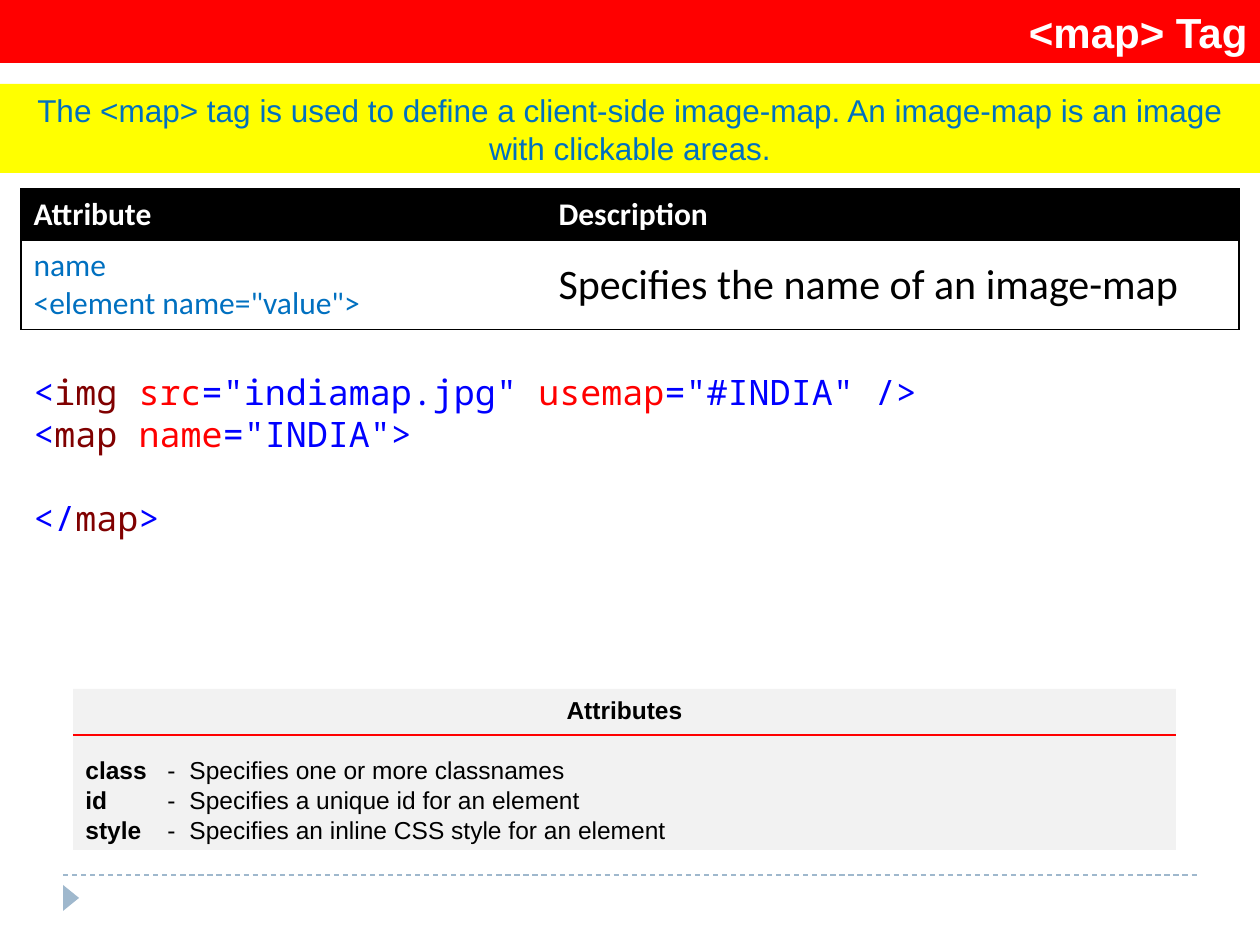
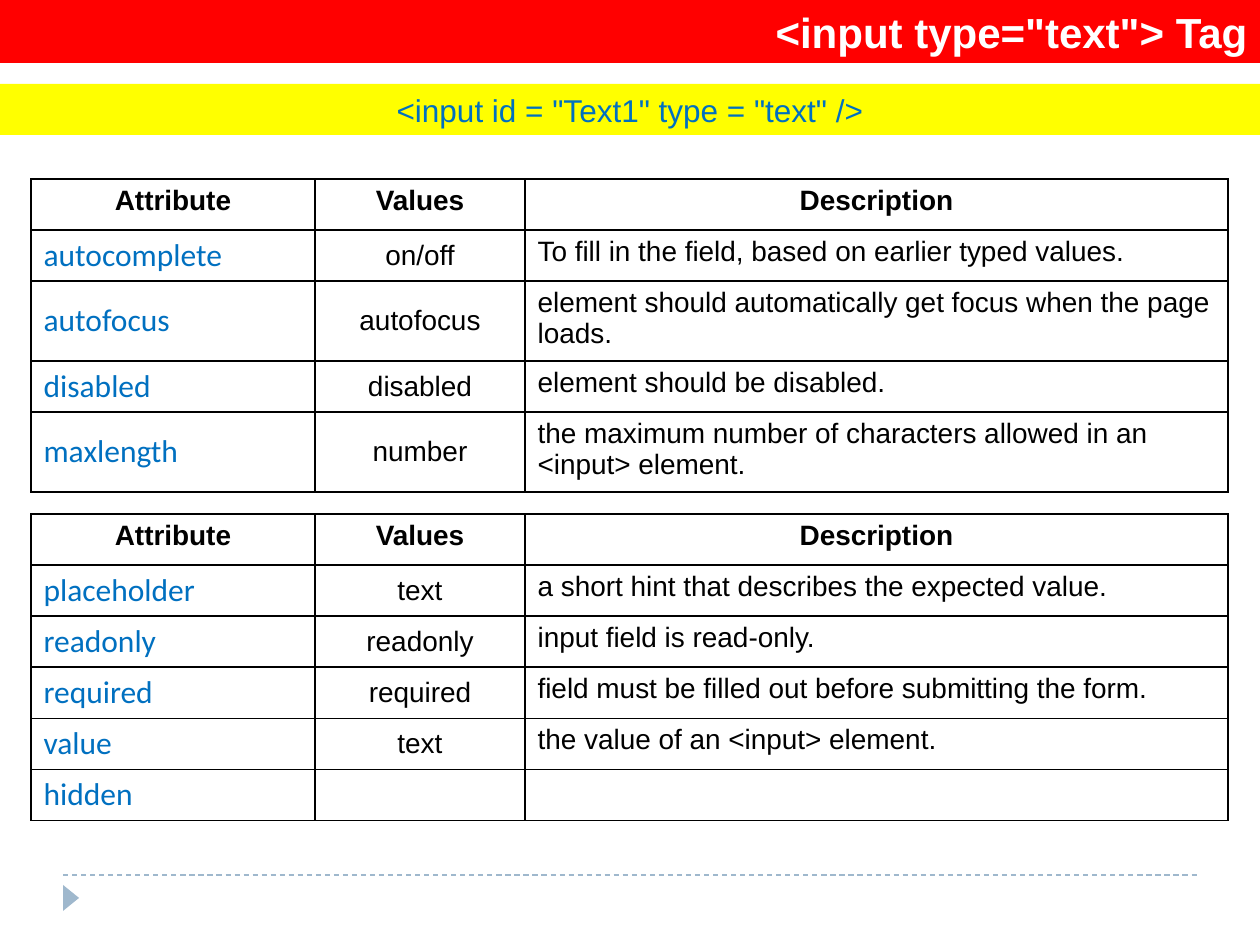
from pptx import Presentation
from pptx import util as u
from pptx.dml.color import RGBColor
from pptx.enum import dml, shapes, text
from pptx.oxml import xmlchemy as x
from lxml import etree

PX = 914400 / 126
A = "{http://schemas.openxmlformats.org/drawingml/2006/main}"
COLORS = {
    "red": "FF0000", "yellow": "FFFF00", "blue": "0070C0", "white": "FFFFFF",
    "black": "000000", "panel": "F2F2F2", "footer": "9FB8CD",
    "code": "0000FF", "tag": "800000",
}
LEFT, CENTER, RIGHT = text.PP_ALIGN.LEFT, text.PP_ALIGN.CENTER, text.PP_ALIGN.RIGHT
TOP, MIDDLE = text.MSO_ANCHOR.TOP, text.MSO_ANCHOR.MIDDLE
LABEL = ("Calibri", 18, "blue", False, LEFT, MIDDLE)
VALUE = ("Arial", 16, "black", False, CENTER, MIDDLE)
NOTE = ("Arial", 16, "black", False, LEFT, TOP)
HEADING = ("Arial", 16, "black", True, CENTER, TOP)


def px(n):
    return u.Emu(round(n * PX))


def rgb(name):
    return RGBColor.from_string(COLORS[name])


def style(p, font, size, color, bold=False, align=LEFT):
    p.alignment = align
    p.font.name, p.font.size, p.font.bold = font, u.Pt(size), bold
    p.font.color.rgb = rgb(color)


def add_box(parent, box, fill, kind=shapes.MSO_SHAPE.RECTANGLE):
    sp = parent.add_shape(kind, *map(px, box))
    sp.shadow.inherit = False
    sp.fill.solid()
    sp.fill.fore_color.rgb = rgb(fill)
    sp.line.fill.background()
    sp.text_frame.word_wrap = True
    return sp


def add_line(parent, x1, y1, x2, y2, color, width):
    line = parent.add_connector(shapes.MSO_CONNECTOR.STRAIGHT, *map(px, (x1, y1, x2, y2)))
    line.line.color.rgb = rgb(color)
    line.line.width = u.Pt(width)
    etree.SubElement(line._element.spPr, A + "effectLst")
    return line


def add_band(s, box, words, fill, *look, spacing=None):
    tf = add_box(s.shapes, box, fill).text_frame
    tf.vertical_anchor = MIDDLE
    p = tf.paragraphs[0]
    p.text = words
    style(p, *look)
    p.line_spacing = spacing


def add_footer(s, left, top, width):
    line = add_line(s.shapes, left, top, left + width, top, "footer", 0.75)
    line.line.dash_style = dml.MSO_LINE.DASH
    marker = add_box(s.shapes, (left - 5, top + 15, 26, 16), "footer",
                     shapes.MSO_SHAPE.ISOSCELES_TRIANGLE)
    marker.rotation = 90


def add_tag_slide(prs, title, summary, summary_height):
    s = prs.slides.add_slide(prs.slide_layouts[6])
    add_footer(s, 63, 875, 1134)
    add_band(s, (0, 0, 1260, 63), title, "red", "Arial", 24, "white", True, RIGHT)
    add_band(s, (0, 84, 1260, summary_height), summary, "yellow",
             "Arial", 18, "blue", False, CENTER, spacing=u.Pt(22))
    return s


def set_borders(cell, sides, width):
    tc_pr = cell._tc.get_or_add_tcPr()
    for side in "LRTB":
        ln = etree.SubElement(tc_pr, A + "ln" + side, w=str(u.Pt(width)))
        if side in sides:
            fill = etree.SubElement(ln, A + "solidFill")
            etree.SubElement(fill, A + "srgbClr", val=COLORS["black"])
        else:
            etree.SubElement(ln, A + "noFill")


def fill_cell(cell, words, font, size, color, bold, align, anchor, fill="white"):
    cell.fill.solid()
    cell.fill.fore_color.rgb = rgb(fill)
    cell.vertical_anchor = anchor
    cell.text = words
    for p in cell.text_frame.paragraphs:
        style(p, font, size, color, bold, align)


def add_grid(s, left, top, widths, heights):
    table = s.shapes.add_table(len(heights), len(widths), px(left), px(top),
                               px(sum(widths)), px(sum(heights))).table
    table.horz_banding = False
    for column, width in zip(table.columns, widths):
        column.width = px(width)
    for row, height in zip(table.rows, heights):
        row.height = px(height)
    return table


def add_name_table(s, left, top):
    table = add_grid(s, left, top, (525, 693), (51, 89))
    header = ("Calibri", 18, "white", True, LEFT, TOP, "black")
    rows = [
        [("Attribute", *header), ("Description", *header)],
        [('name\n<element name="value">', *LABEL),
         ("Specifies the name of an image-map", "Calibri", 24, "black", False, LEFT, MIDDLE)],
    ]
    for r, row in enumerate(rows):
        for c, content in enumerate(row):
            set_borders(table.cell(r, c), "TB" + "LR"[c], 0.75)
            fill_cell(table.cell(r, c), *content)


def add_attribute_table(s, left, top, rows, tall=()):
    rows = [("Attribute", "Values", "Description"), *rows]
    heights = [80 if r in tall else 51 for r in range(len(rows))]
    table = add_grid(s, left, top, (284, 210, 703), heights)
    for r, row in enumerate(rows):
        looks = (LABEL, VALUE, NOTE) if r else (HEADING,) * 3
        for c, (words, look) in enumerate(zip(row, looks)):
            set_borders(table.cell(r, c), "LRTB", 1)
            fill_cell(table.cell(r, c), words, *look)


def add_code(s, box, lines):
    tf = s.shapes.add_textbox(*map(px, box)).text_frame
    tf.word_wrap = True
    for i, tokens in enumerate(lines):
        p = tf.paragraphs[0] if i == 0 else tf.add_paragraph()
        p.line_spacing = u.Pt(24)
        p.font.name, p.font.size = "Noto Sans Mono", u.Pt(20)
        for words, color in tokens:
            r = p.add_run()
            r.text = words
            r.font.color.rgb = rgb(color)
    p.space_before = u.Pt(24)


def add_attribute_panel(s, left, top, width, height, entries):
    group = s.shapes.add_group_shape().shapes
    tf = add_box(group, (left, top, width, height), "panel").text_frame
    tf.vertical_anchor = TOP
    p = tf.paragraphs[0]
    p.text = "Attributes"
    style(p, "Arial", 14, "black", True, CENTER)
    for i, (name, meaning) in enumerate(entries):
        p = tf.add_paragraph()
        p.space_before = u.Pt(0 if i else 17)
        tabs = etree.SubElement(p._p.get_or_add_pPr(), A + "tabLst")
        for stop in (82, 104):
            etree.SubElement(tabs, A + "tab", pos=str(px(stop)), algn="l")
        style(p, "Arial", 14, "black")
        r = p.add_run()
        r.text = name
        r.font.bold = True
        p.add_run().text = f"\t-\t{meaning}"
    for p in tf.paragraphs:
        p.line_spacing = u.Pt(17)
    add_line(group, left, top + 46, left + width, top + 46, "red", 1)


def build_map_slide(prs):
    s = add_tag_slide(prs, "<map> Tag",
                      "The <map> tag is used to define a client-side image-map. "
                      "An image-map is an image with clickable areas.", 89)
    add_attribute_panel(s, 73, 689, 1103, 161, [
        ("class", "Specifies one or more classnames"),
        ("id", "Specifies a unique id for an element"),
        ("style", "Specifies an inline CSS style for an element"),
    ])
    add_name_table(s, 21, 189)
    add_code(s, (21, 364, 1218, 224), [
        [("<", "code"), ("img ", "tag"), ("src", "red"), ('="indiamap.jpg" ', "code"),
         ("usemap", "red"), ('="#INDIA" />', "code")],
        [("<", "code"), ("map ", "tag"), ("name", "red"), ('="INDIA">', "code")],
        [("</", "code"), ("map", "tag"), (">", "code")],
    ])


def build_input_slide(prs):
    s = add_tag_slide(prs, '<input type="text"> Tag', '<input id = "Text1" type = "text" />', 51)
    add_attribute_table(s, 31, 179, [
        ("autocomplete", "on/off", "To fill in the field, based on earlier typed values."),
        ("autofocus", "autofocus", "element should automatically get focus when the page loads."),
        ("disabled", "disabled", "element should be disabled."),
        ("maxlength", "number", "the maximum number of characters allowed in an <input> element."),
    ], tall=(2, 4))
    add_attribute_table(s, 31, 514, [
        ("placeholder", "text", "a short hint that describes the expected value."),
        ("readonly", "readonly", "input field is read-only."),
        ("required", "required", "field must be filled out before submitting the form."),
        ("value", "text", "the value of an <input> element."),
        ("hidden", "", ""),
    ])


def main():
    prs = Presentation()
    prs.slide_width, prs.slide_height = px(1260), px(945)
    build_map_slide(prs)
    build_input_slide(prs)
    prs.save("out.pptx")


if __name__ == "__main__":
    main()
